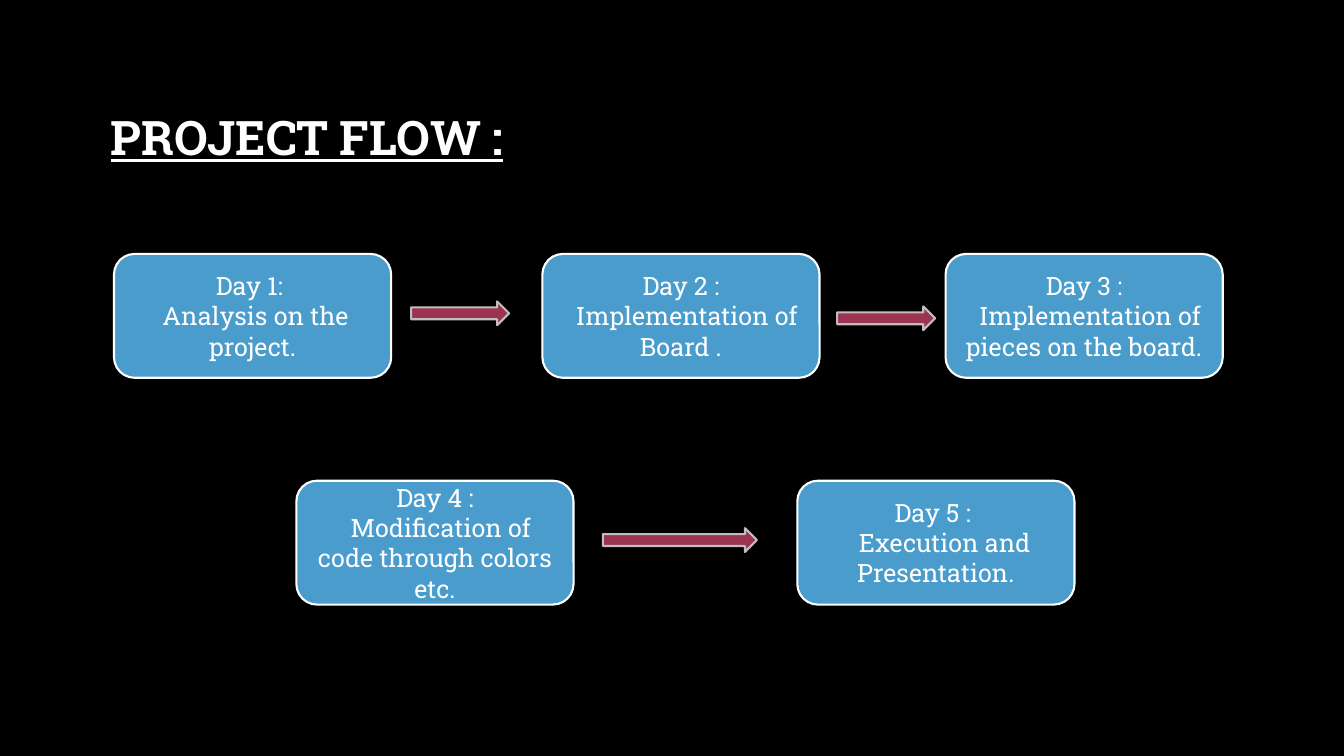
from dataclasses import dataclass

from pptx import Presentation
from pptx.dml.color import RGBColor
from pptx.enum.shapes import MSO_SHAPE as Preset
from pptx.enum.text import MSO_ANCHOR as Anchor, PP_ALIGN as Align
from pptx.shapes.autoshape import Shape
from pptx.slide import Slide
from pptx.text.text import Font
from pptx.util import Pt

BLACK = RGBColor(0x00, 0x00, 0x00)
WHITE = RGBColor(0xFF, 0xFF, 0xFF)
BLUE = RGBColor(0x4A, 0x9C, 0xCC)
CRIMSON = RGBColor(0x9C, 0x33, 0x51)
GREY = RGBColor(0xBF, 0xBF, 0xBF)

FONT_NAME = "Roboto Slab"
DAY_WIDTH, DAY_HEIGHT = 198, 88.5
ARROW_HEIGHT = 17
TOP_ROW, BOTTOM_ROW = 181.4, 343.4


@dataclass(frozen=True)
class Day:
    left: float
    top: float
    heading: str
    task: str
    indent: float


@dataclass(frozen=True)
class Arrow:
    left: float
    top: float
    width: float


DAYS = [
    Day(81.4, TOP_ROW, "Day 1: ", "Analysis on the project.", 4.2),
    Day(387.4, TOP_ROW, "Day 2 :", "Implementation of Board .", 8.4),
    Day(675.4, TOP_ROW, "Day 3 :", "Implementation of pieces on the board.", 8.4),
    Day(211.7, BOTTOM_ROW, "Day 4 :", "Modification of code through colors etc.", 8.4),
    Day(569.5, BOTTOM_ROW, "Day 5 : ", "Execution and Presentation.", 12.6),
]
ARROWS = [
    Arrow(293.6, 215.3, 70),
    Arrow(598, 218.9, 70),
    Arrow(430.6, 377.3, 110),
]


def style_font(font: Font, size: float) -> None:
    font.name = FONT_NAME
    font.size = Pt(size)
    font.color.rgb = WHITE


def add_title(page: Slide) -> None:
    title = page.shapes.title
    title.left, title.top = Pt(72), Pt(48.2)
    title.width, title.height = Pt(815), Pt(104.4)
    frame = title.text_frame
    frame.text = "PROJECT FLOW :"
    frame.vertical_anchor = Anchor.MIDDLE
    para = frame.paragraphs[0]
    para.alignment = Align.LEFT
    para.line_spacing = 0.9
    style_font(para.font, 34)
    para.font.bold = True
    para.font.underline = True


def add_preset(page: Slide, preset: Preset, left: float, top: float, width: float,
               height: float, fill: RGBColor, line: RGBColor) -> Shape:
    shape = page.shapes.add_shape(preset, Pt(left), Pt(top), Pt(width), Pt(height))
    shape.shadow.inherit = False
    shape.fill.solid()
    shape.fill.fore_color.rgb = fill
    shape.line.color.rgb = line
    shape.line.width = Pt(1.5)
    return shape


def add_day(page: Slide, day: Day) -> None:
    box = add_preset(page, Preset.ROUNDED_RECTANGLE, day.left, day.top,
                     DAY_WIDTH, DAY_HEIGHT, BLUE, WHITE)
    frame = box.text_frame
    frame.word_wrap = True
    frame.vertical_anchor = Anchor.MIDDLE
    frame.text = f"{day.heading}\n{day.task}"
    for para in frame.paragraphs:
        para.alignment = Align.CENTER
        style_font(para.font, 18)
    # The task's first line is indented, which python-pptx has no property for
    task_properties = frame.paragraphs[1]._p.get_or_add_pPr()
    task_properties.set("indent", str(Pt(day.indent)))


def add_arrow(page: Slide, arrow: Arrow) -> None:
    add_preset(page, Preset.RIGHT_ARROW, arrow.left, arrow.top,
               arrow.width, ARROW_HEIGHT, CRIMSON, GREY)


def main() -> None:
    deck = Presentation()
    deck.slide_width, deck.slide_height = Pt(960), Pt(540)
    page = deck.slides.add_slide(deck.slide_layouts.get_by_name("Title Only"))
    page.background.fill.solid()
    page.background.fill.fore_color.rgb = BLACK
    add_title(page)
    for day in DAYS:
        add_day(page, day)
    for arrow in ARROWS:
        add_arrow(page, arrow)
    deck.save("out.pptx")


if __name__ == "__main__":
    main()
